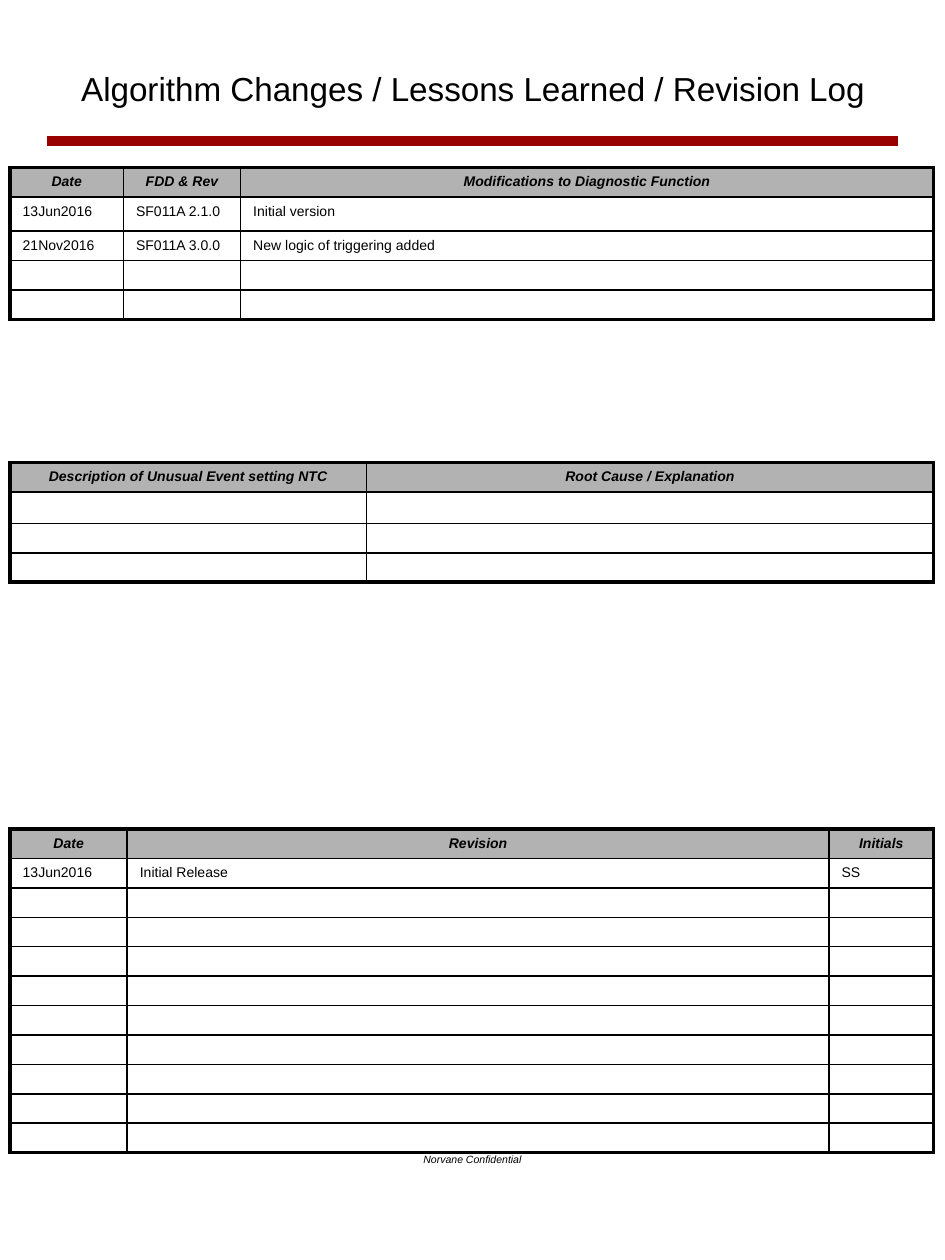
from dataclasses import dataclass, field

from lxml import etree
from pptx import Presentation
from pptx.dml.color import RGBColor
from pptx.enum import shapes, text
from pptx.oxml import ns
from pptx.util import Inches, Pt

COLORS = {"ink": "000000", "rule": "990000", "header": "B2B2B2"}
FONT = "Arial"
TABLE_LEFT = 0.08
ROW_HEIGHT = 0.23
OUTER, INNER = 2.25, 1


@dataclass
class Log:
    top: float
    columns: list[float]
    headings: list[str]
    row_count: int
    entries: list[list[str]] = field(default_factory=list)
    first_row_height: float = ROW_HEIGHT


LOGS = [
    Log(6.58, [0.93, 5.57, 0.83], ["Date", "Revision", "Initials"], 10,
        [["13Jun2016", "Initial Release", "SS"]]),
    Log(3.67, [2.83, 4.5],
        ["Description of Unusual Event setting NTC", "Root Cause / Explanation"], 3,
        first_row_height=0.25),
    Log(1.33, [0.9, 0.93, 5.5],
        ["Date", "FDD & Rev", "Modifications to Diagnostic Function"], 4,
        [["13Jun2016", "SF011A 2.1.0", "Initial version"],
         ["21Nov2016", "SF011A 3.0.0", "New logic of triggering added"]],
        first_row_height=0.27),
]


def rgb(name: str) -> RGBColor:
    return RGBColor.from_string(COLORS[name])


def format_text(frame, size: float, bold: bool = False, italic: bool = False,
                align=text.PP_ALIGN.LEFT) -> None:
    for paragraph in frame.paragraphs:
        paragraph.alignment = align
        for run in paragraph.runs:
            run.font.name = FONT
            run.font.size = Pt(size)
            run.font.bold = bold
            run.font.italic = italic
            run.font.color.rgb = rgb("ink")
        if not paragraph.runs:
            # The end mark sets the line height of an empty cell
            etree.SubElement(paragraph._p, ns.qn("a:endParaRPr"), sz=str(size * 100))


def set_insets(frame) -> None:
    frame.margin_left = frame.margin_right = Inches(0.08)
    frame.margin_top = frame.margin_bottom = Inches(0.04)


def set_borders(cell, widths: dict[str, float]) -> None:
    """Draw the cell's sides, keyed L, R, T, B in that order."""
    properties = cell._tc.get_or_add_tcPr()
    for side, width in widths.items():
        line = etree.SubElement(properties, ns.qn(f"a:ln{side}"), w=str(Pt(width)))
        fill = etree.SubElement(line, ns.qn("a:solidFill"))
        etree.SubElement(fill, ns.qn("a:srgbClr"), val=COLORS["ink"])


def draw_log(slide, log: Log) -> None:
    last_row, last_column = log.row_count, len(log.columns) - 1
    heights = [ROW_HEIGHT, log.first_row_height] + [ROW_HEIGHT] * (log.row_count - 1)
    table = slide.shapes.add_table(
        len(heights), len(log.columns), Inches(TABLE_LEFT), Inches(log.top),
        Inches(sum(log.columns)), Inches(sum(heights))).table
    table.first_row = table.horz_banding = False
    for column, width in zip(table.columns, log.columns):
        column.width = Inches(width)
    for row, height in zip(table.rows, heights):
        row.height = Inches(height)

    contents = [log.headings] + log.entries
    for r in range(len(heights)):
        for c in range(len(log.columns)):
            cell = table.cell(r, c)
            is_header = r == 0
            if r < len(contents):
                cell.text_frame.text = contents[r][c]
            format_text(cell.text_frame, 8, is_header, is_header,
                        text.PP_ALIGN.CENTER if is_header else text.PP_ALIGN.LEFT)
            set_borders(cell, {
                "L": OUTER if c == 0 else INNER,
                "R": OUTER if c == last_column else INNER,
                "T": OUTER if is_header else INNER,
                "B": OUTER if r == last_row else INNER,
            })
            if is_header:
                cell.fill.solid()
                cell.fill.fore_color.rgb = rgb("header")
            else:
                cell.fill.background()


def draw_title(slide) -> None:
    title = slide.shapes.title
    title.left, title.top = Inches(0.38), Inches(0.4)
    title.width, title.height = Inches(6.75), Inches(0.6)
    frame = title.text_frame
    frame.text = "Algorithm Changes / Lessons Learned / Revision Log"
    frame.vertical_anchor = text.MSO_ANCHOR.MIDDLE
    frame.auto_size = text.MSO_AUTO_SIZE.NONE
    set_insets(frame)
    format_text(frame, 19, align=text.PP_ALIGN.CENTER)


def draw_rule(slide) -> None:
    rule = slide.shapes.add_connector(
        shapes.MSO_CONNECTOR.STRAIGHT,
        Inches(0.37), Inches(1.12), Inches(7.13), Inches(1.12))
    rule.line.color.rgb = rgb("rule")
    rule.line.width = Pt(6)
    etree.SubElement(rule._element.spPr, ns.qn("a:effectLst"))


def draw_confidentiality(slide) -> None:
    frame = slide.shapes.add_textbox(
        Inches(2.56), Inches(9.11), Inches(2.38), Inches(0.69)).text_frame
    frame.word_wrap = True
    frame.text = "Norvane Confidential"
    set_insets(frame)
    format_text(frame, 6, italic=True, align=text.PP_ALIGN.CENTER)


def main() -> None:
    deck = Presentation()
    deck.slide_width, deck.slide_height = Inches(7.5), Inches(10)
    slide = deck.slides.add_slide(deck.slide_layouts.get_by_name("Title Only"))
    draw_rule(slide)
    draw_confidentiality(slide)
    for log in LOGS:
        draw_log(slide, log)
    draw_title(slide)
    deck.save("out.pptx")


if __name__ == "__main__":
    main()
